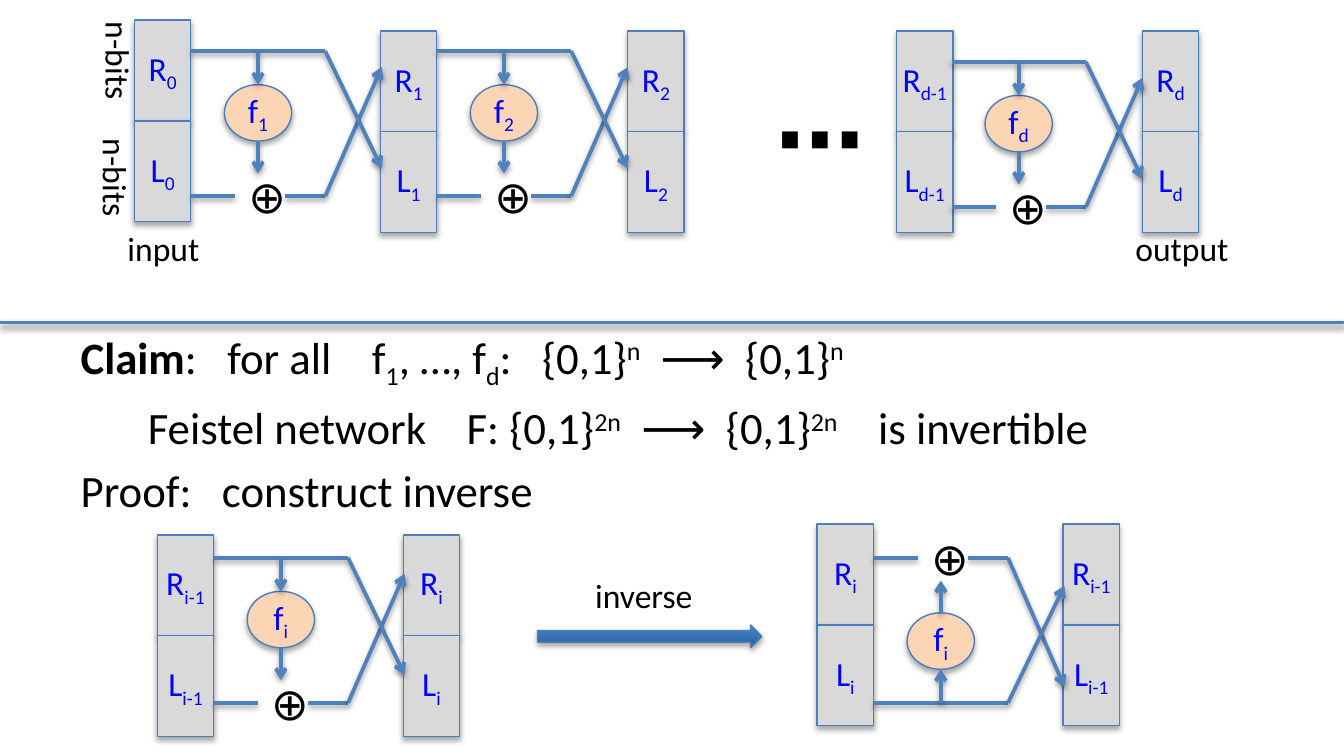
from dataclasses import dataclass

from lxml import etree
from pptx import Presentation
from pptx.dml.color import RGBColor
from pptx.enum import shapes, text
from pptx.oxml import ns
from pptx.util import Inches, Pt


@dataclass(frozen=True)
class Theme:
    font: str = "Calibri"
    ink: str = "000000"
    symbol: str = "0000FF"
    block: str = "D9D9D9"
    function: str = "FCD5B5"
    outline: str = "4B7EBC"
    wire: str = "4F81BD"
    arrow_dark: str = "2F5F99"
    arrow_light: str = "3D7CC7"
    label_size: int = 18
    claim_size: int = 24
    dots_size: int = 48
    outline_width: float = 0.75
    wire_width: int = 2


THEME = Theme()
BLOCK_W, BLOCK_H = 0.42, 0.75
ROUND_PITCH = 1.83


def rgb(value):
    return RGBColor.from_string(value)


def add_shadow(element, opacity, distance):
    properties = element._element.spPr
    effects = properties.find(ns.qn("a:effectLst"))
    if effects is None:
        effects = etree.SubElement(properties, ns.qn("a:effectLst"))
    shadow = etree.SubElement(
        effects, ns.qn("a:outerShdw"), blurRad=str(Pt(3.1)),
        dist=str(Pt(distance)), dir="5400000", rotWithShape="0")
    color = etree.SubElement(shadow, ns.qn("a:srgbClr"), val=THEME.ink)
    etree.SubElement(color, ns.qn("a:alpha"), val=str(opacity * 1000))


def add_run(paragraph, wording, size, color, baseline=0, bold=False):
    """Add one run; baseline is a shift in percent, negative for subscript."""
    run = paragraph.add_run()
    run.text = wording
    run.font.name = THEME.font
    run.font.size = Pt(size)
    run.font.bold = bold
    run.font.color.rgb = rgb(color)
    if baseline:
        run.font._element.set("baseline", str(baseline * 1000))


def add_outlined(slide, kind, x, y, w, h):
    shape = slide.shapes.add_shape(
        kind, Inches(x), Inches(y), Inches(w), Inches(h))
    shape.line.color.rgb = rgb(THEME.outline)
    shape.line.width = Pt(THEME.outline_width)
    shape.shadow.inherit = False
    add_shadow(shape, 35, 1.8)
    return shape


def add_symbol(slide, kind, x, y, w, h, fill, letter, index):
    """Add a filled shape holding a letter with a subscript."""
    shape = add_outlined(slide, kind, x, y, w, h)
    shape.fill.solid()
    shape.fill.fore_color.rgb = rgb(fill)
    frame = shape.text_frame
    frame.margin_left = frame.margin_right = 0
    frame.vertical_anchor = text.MSO_ANCHOR.MIDDLE
    paragraph = frame.paragraphs[0]
    paragraph.alignment = text.PP_ALIGN.CENTER
    add_run(paragraph, letter, THEME.label_size, THEME.symbol)
    add_run(paragraph, index, THEME.label_size, THEME.symbol, -25)


def add_label(slide, wording, x, y, w, h, size=THEME.label_size,
              bold=False, rotation=0):
    label = slide.shapes.add_textbox(
        Inches(x), Inches(y), Inches(w), Inches(h))
    label.rotation = rotation
    label.text_frame.word_wrap = False
    label.text_frame.auto_size = text.MSO_AUTO_SIZE.SHAPE_TO_FIT_TEXT
    add_run(label.text_frame.paragraphs[0], wording, size, THEME.ink, bold=bold)


def add_wire(slide, x1, y1, x2, y2, arrow=False):
    wire = slide.shapes.add_connector(
        shapes.MSO_CONNECTOR.STRAIGHT,
        Inches(x1), Inches(y1), Inches(x2), Inches(y2))
    wire.line.color.rgb = rgb(THEME.wire)
    wire.line.width = Pt(THEME.wire_width)
    if arrow:
        etree.SubElement(wire.line._get_or_add_ln(), ns.qn("a:tailEnd"),
                         type="arrow")
    add_shadow(wire, 38, 1.6)


def add_halves(slide, x, y, index):
    """Stack the R and L halves of one state."""
    for row, letter in enumerate("RL"):
        add_symbol(slide, shapes.MSO_SHAPE.RECTANGLE, x, y + row * BLOCK_H,
                   BLOCK_W, BLOCK_H, THEME.block, letter, index)


def add_round(slide, x, bus_y, index, direction=1):
    """Wire one round from x; direction 1 runs f downward, -1 upward."""
    def level(offset):
        return bus_y + direction * offset

    xor_y, center, cross, end = level(1.08), x + 0.5, x + 1, x + 1.42
    add_label(slide, "⊕", x + 0.33, xor_y - 0.25, 0.37, 0.5, THEME.claim_size)
    add_wire(slide, x, bus_y, cross, bus_y)
    add_wire(slide, x, xor_y, x + 0.33, xor_y)
    add_wire(slide, x + 0.7, xor_y, cross, xor_y)
    add_wire(slide, cross, xor_y, end, level(0.12), arrow=True)
    add_wire(slide, cross, bus_y, end, level(0.87), arrow=True)
    add_symbol(slide, shapes.MSO_SHAPE.OVAL, x + 0.25, level(0.46) - 0.21,
               0.5, 0.42, THEME.function, "f", index)
    add_wire(slide, center, bus_y, center, level(0.25), arrow=True)
    add_wire(slide, center, level(0.67), center, level(0.91), arrow=True)


def add_claim(slide):
    body = slide.placeholders[1]
    body.left, body.top = Inches(0.5), Inches(2.4)
    body.width, body.height = Inches(9), Inches(1.5)
    frame = body.text_frame
    frame.auto_size = text.MSO_AUTO_SIZE.NONE
    lines = [
        [("Claim", 0), (":   for all    f", 0), ("1", -25), (", …, f", 0),
         ("d", -25), (":   {0,1}", 0), ("n", 30), ("  ⟶  {0,1}", 0),
         ("n", 30)],
        [("\tFeistel network    F: {0,1}", 0), ("2n", 30),
         ("  ⟶  {0,1}", 0), ("2n", 30), ("    is invertible", 0)],
        [("Proof:   construct inverse", 0)],
    ]
    for number, line in enumerate(lines):
        paragraph = frame.add_paragraph() if number else frame.paragraphs[0]
        properties = paragraph._p.get_or_add_pPr()
        properties.set("marL", "0")
        properties.set("indent", "0")
        etree.SubElement(properties, ns.qn("a:buNone"))
        tabs = etree.SubElement(properties, ns.qn("a:tabLst"))
        etree.SubElement(tabs, ns.qn("a:tab"), pos=str(Inches(1)), algn="l")
        paragraph.space_before = Pt(5 if number else 0)
        for wording, baseline in line:
            add_run(paragraph, wording, THEME.claim_size, THEME.ink, baseline,
                    bold=wording == "Claim")


def add_inverse_arrow(slide):
    arrow = add_outlined(slide, shapes.MSO_SHAPE.RIGHT_ARROW,
                         4, 4.65, 1.67, 0.17)
    arrow.fill.gradient()
    arrow.fill.gradient_angle = 90
    stops = zip(arrow.fill.gradient_stops,
                ((0, THEME.arrow_dark), (0.8, THEME.arrow_light)))
    for stop, (position, color) in stops:
        stop.position = position
        stop.color.rgb = rgb(color)
    add_label(slide, "inverse", 4.33, 4.23, 0.94, 0.4)


def add_network(slide):
    add_label(slide, "input", 0.85, 1.65, 0.75, 0.4)
    add_label(slide, "output", 8.35, 1.65, 0.9, 0.4)
    add_label(slide, "n-bits", 0.49, 0.26, 0.79, 0.4, rotation=90)
    add_label(slide, "n-bits", 0.47, 1.13, 0.79, 0.4, rotation=90)
    add_halves(slide, 1, 0.15, "0")
    for x, index in ((2.83, "1"), (4.67, "2"), (6.67, "d-1"), (8.5, "d")):
        add_halves(slide, x, 0.23, index)
    add_round(slide, 1.42, 0.38, "1")
    add_round(slide, 3.25, 0.38, "2")
    add_label(slide, "⋯", 5.67, 0.56, 0.54, 0.91, THEME.dots_size, bold=True)
    add_round(slide, 7.08, 0.46, "d")


def add_proof_step(slide, x, y, bus_y, indices, direction=1):
    for column, index in enumerate(indices):
        add_halves(slide, x + column * ROUND_PITCH, y, index)
    add_round(slide, x + BLOCK_W, bus_y, "i", direction)


def main():
    deck = Presentation()
    deck.slide_width = Inches(10)
    deck.slide_height = deck.slide_width * 9 // 16
    slide = deck.slides.add_slide(deck.slide_layouts[1])
    title = slide.shapes.title._element
    title.getparent().remove(title)
    add_claim(slide)
    add_proof_step(slide, 1.17, 3.98, 4.15, ("i-1", "i"))
    add_inverse_arrow(slide)
    add_wire(slide, 0, 2.4, 10, 2.4)
    add_network(slide)
    add_proof_step(slide, 6.08, 3.9, 5.23, ("i", "i-1"), direction=-1)
    deck.save("out.pptx")


if __name__ == "__main__":
    main()
